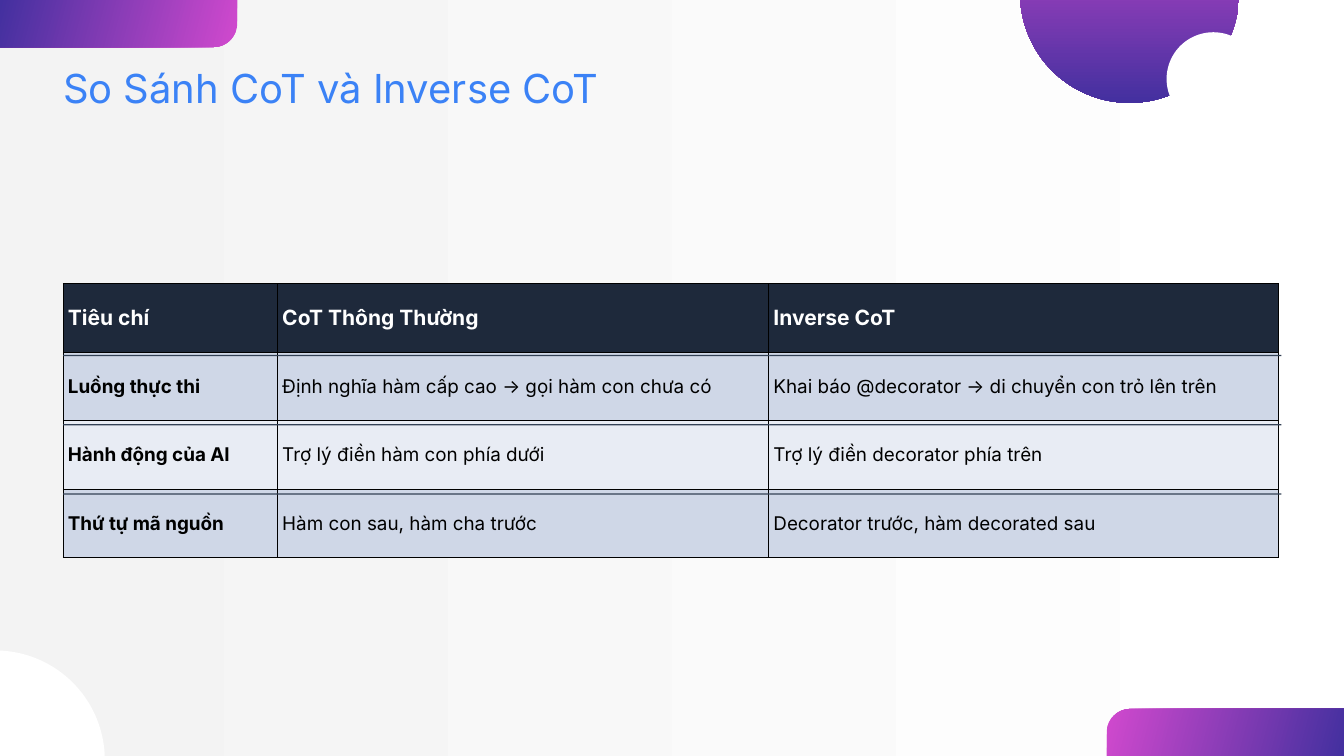
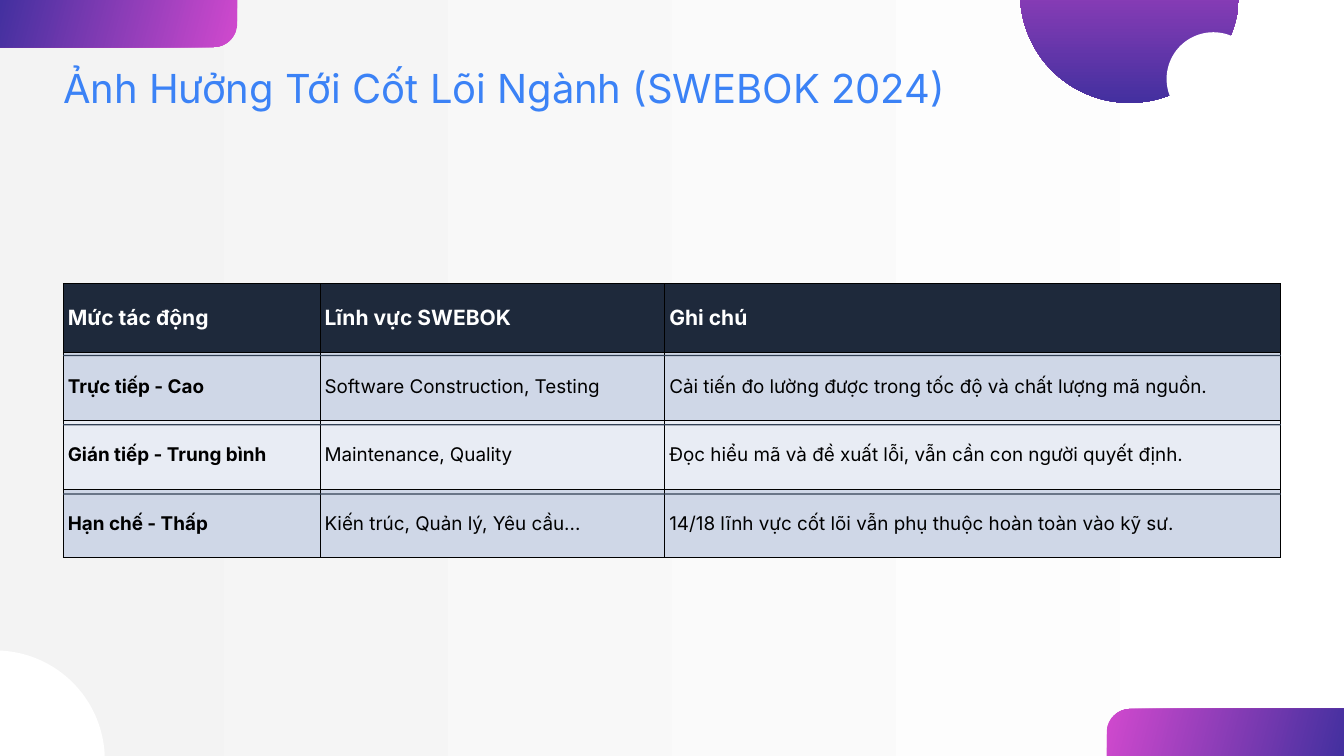
from dataclasses import dataclass
from itertools import accumulate
from math import cos, pi, sin

from lxml.etree import SubElement
from pptx import Presentation
from pptx.dml.color import RGBColor as Rgb
from pptx.dml.fill import FillFormat as Fill
from pptx.enum.shapes import MSO_SHAPE as Kind
from pptx.enum.text import MSO_ANCHOR as Anchor, MSO_AUTO_SIZE as Fit
from pptx.oxml.ns import qn
from pptx.shapes.autoshape import Shape
from pptx.slide import Slide
from pptx.table import _Cell as Cell
from pptx.text.text import _Paragraph as Para
from pptx.util import Inches, Pt


@dataclass(frozen=True)
class Theme:
    font: str = "Inter"
    white: str = "FFFFFF"
    mist: str = "F3F3F3"
    pink: str = "D149CE"
    violet: str = "43309F"
    title: str = "3B82F6"
    head: str = "1E293B"
    odd: str = "CFD7E7"
    even: str = "E8ECF4"
    rule: str = "334155"
    ink: str = "000000"
    title_size: float = 42.8
    head_size: float = 22.5
    body_size: float = 20.2
    leading: float = 1.2
    border: float = 0.75


@dataclass(frozen=True)
class Disc:
    left: float
    top: float
    size: float
    tints: tuple[str, ...]


@dataclass(frozen=True)
class Page:
    title: str
    cols: tuple[float, ...]
    bars: tuple[float, ...]
    rows: tuple[tuple[str, ...], ...]


THEME = Theme()
WIDTH, HEIGHT = 20, 11.25
LEFT = 0.94
TABLE_TOP, ROW = 4.22, 1.02
RULE_TOP, RULE_STEP, RULE_THICK = 5.28, 1.03, 0.02
BAND_W, BAND_H, RADIUS = 3.53, 0.7, 0.35
PAD = Inches(0.07)
BLEND = (THEME.pink, THEME.violet)
SHEEN = (THEME.white, THEME.mist)

DISCS = (
    Disc(-1.7, 9.68, 3.26, (THEME.white,)),
    Disc(15.18, -1.73, 3.26, BLEND),
    Disc(17.36, 0.48, 1.39, (THEME.white,)),
)

PAGES = (
    Page(
        "So Sánh CoT và Inverse CoT",
        (3.19, 7.31, 7.59),
        (3.18, 7.33, 7.62),
        (
            ("Tiêu chí", "CoT Thông Thường", "Inverse CoT"),
            ("Luồng thực thi", "Định nghĩa hàm cấp cao → gọi hàm con chưa có",
             "Khai báo @decorator → di chuyển con trỏ lên trên"),
            ("Hành động của AI", "Trợ lý điền hàm con phía dưới",
             "Trợ lý điền decorator phía trên"),
            ("Thứ tự mã nguồn", "Hàm con sau, hàm cha trước",
             "Decorator trước, hàm decorated sau"),
        ),
    ),
    Page(
        "Ảnh Hưởng Tới Cốt Lõi Ngành (SWEBOK 2024)",
        (3.82, 5.13, 9.16),
        (3.81, 5.13, 9.18),
        (
            ("Mức tác động", "Lĩnh vực SWEBOK", "Ghi chú"),
            ("Trực tiếp - Cao", "Software Construction, Testing",
             "Cải tiến đo lường được trong tốc độ và chất lượng mã nguồn."),
            ("Gián tiếp - Trung bình", "Maintenance, Quality",
             "Đọc hiểu mã và đề xuất lỗi, vẫn cần con người quyết định."),
            ("Hạn chế - Thấp", "Kiến trúc, Quản lý, Yêu cầu...",
             "14/18 lĩnh vực cốt lõi vẫn phụ thuộc hoàn toàn vào kỹ sư."),
        ),
    ),
)


def paint(fill: Fill, tints: tuple[str, ...], angle: float = 0) -> None:
    """Fill with one colour, or with a two-colour blend at a counter-clockwise angle."""
    if len(tints) == 1:
        fill.solid()
        fill.fore_color.rgb = Rgb.from_string(tints[0])
        return
    fill.gradient()
    fill.gradient_angle = angle
    for stop, tint in zip(fill.gradient_stops, tints):
        stop.color.rgb = Rgb.from_string(tint)


def finish(shape: Shape, tints: tuple[str, ...], angle: float = 0) -> None:
    shape.shadow.inherit = False
    shape.line.fill.background()
    paint(shape.fill, tints, angle)


def style(para: Para, size: float, tints: tuple[str, ...], bold: bool = False) -> None:
    para.line_spacing = Pt(size * THEME.leading)
    for run in para.runs:
        run.font.name = THEME.font
        run.font.size = Pt(size)
        run.font.bold = bold
        paint(run.font.fill, tints, 180)


def add_band(slide: Slide, turned: bool) -> None:
    """Draw the top left band, or its half-turn at the bottom right."""
    steps = 16
    arc = [(BAND_W - RADIUS + RADIUS * cos(a), BAND_H - RADIUS + RADIUS * sin(a))
           for a in (pi / 2 * i / steps for i in range(steps + 1))]
    spots = [(0, 0), (BAND_W, 0), *arc, (0, BAND_H)]
    if turned:
        spots = [(WIDTH - x, HEIGHT - y) for x, y in spots]
    first, *rest = [(Inches(x), Inches(y)) for x, y in spots]
    pen = slide.shapes.build_freeform(*first, scale=1.0)
    pen.add_line_segments(rest, close=True)
    finish(pen.convert_to_shape(), BLEND, 345 if turned else 165)


def add_box(slide: Slide, kind: Kind, left: float, top: float,
            width: float, height: float, tints: tuple[str, ...]) -> None:
    box = slide.shapes.add_shape(
        kind, Inches(left), Inches(top), Inches(width), Inches(height))
    finish(box, tints, 270)


def add_decor(slide: Slide) -> None:
    paint(slide.background.fill, SHEEN, 180)
    for turned in (True, False):
        add_band(slide, turned)
    for disc in DISCS:
        add_box(slide, Kind.OVAL, disc.left, disc.top, disc.size, disc.size, disc.tints)


def add_title(slide: Slide, text: str) -> None:
    box = slide.shapes.add_textbox(
        Inches(LEFT), Inches(LEFT), Inches(19.03), Inches(0.72))
    frame = box.text_frame
    frame.word_wrap = True
    frame.auto_size = Fit.SHAPE_TO_FIT_TEXT
    frame.margin_left = frame.margin_right = 0
    frame.margin_top = frame.margin_bottom = 0
    frame.text = text
    style(frame.paragraphs[0], THEME.title_size, (THEME.title,))


def edge(cell: Cell) -> None:
    """Put a thin border on all four sides of a cell."""
    props = cell._tc.get_or_add_tcPr()
    for spot, side in enumerate(("lnL", "lnR", "lnT", "lnB")):
        line = SubElement(props, qn(f"a:{side}"), w=str(Pt(THEME.border)))
        fill = SubElement(line, qn("a:solidFill"))
        SubElement(fill, qn("a:srgbClr"), val=THEME.ink)
        props.insert(spot, line)


def add_grid(slide: Slide, page: Page) -> None:
    count = len(page.rows)
    table = slide.shapes.add_table(
        count, len(page.cols), Inches(LEFT), Inches(TABLE_TOP),
        Inches(sum(page.cols)), Inches(ROW * count)).table
    for col, width in zip(table.columns, page.cols):
        col.width = Inches(width)
    for r, texts in enumerate(page.rows):
        back = THEME.head if r == 0 else THEME.odd if r % 2 else THEME.even
        for c, text in enumerate(texts):
            cell = table.cell(r, c)
            cell.text_frame.text = text
            cell.vertical_anchor = Anchor.MIDDLE
            cell.margin_left = cell.margin_right = PAD
            cell.margin_top = cell.margin_bottom = PAD
            paint(cell.fill, (back,))
            edge(cell)
            size, tints = ((THEME.body_size, (THEME.ink,)) if r
                           else (THEME.head_size, SHEEN))
            style(cell.text_frame.paragraphs[0], size, tints, r == 0 or c == 0)


def add_rules(slide: Slide, page: Page) -> None:
    """Draw a thin bar per column under every row but the last."""
    starts = list(accumulate(page.bars, initial=LEFT))
    for r in range(len(page.rows) - 1):
        for left, width in zip(starts, page.bars):
            add_box(slide, Kind.RECTANGLE, left, RULE_TOP + r * RULE_STEP,
                    width, RULE_THICK, (THEME.rule,))


def main() -> None:
    deck = Presentation()
    deck.slide_width, deck.slide_height = Inches(WIDTH), Inches(HEIGHT)
    for page in PAGES:
        slide = deck.slides.add_slide(deck.slide_layouts[6])
        add_decor(slide)
        add_grid(slide, page)
        add_rules(slide, page)
        add_title(slide, page.title)
    deck.save("out.pptx")


if __name__ == "__main__":
    main()
